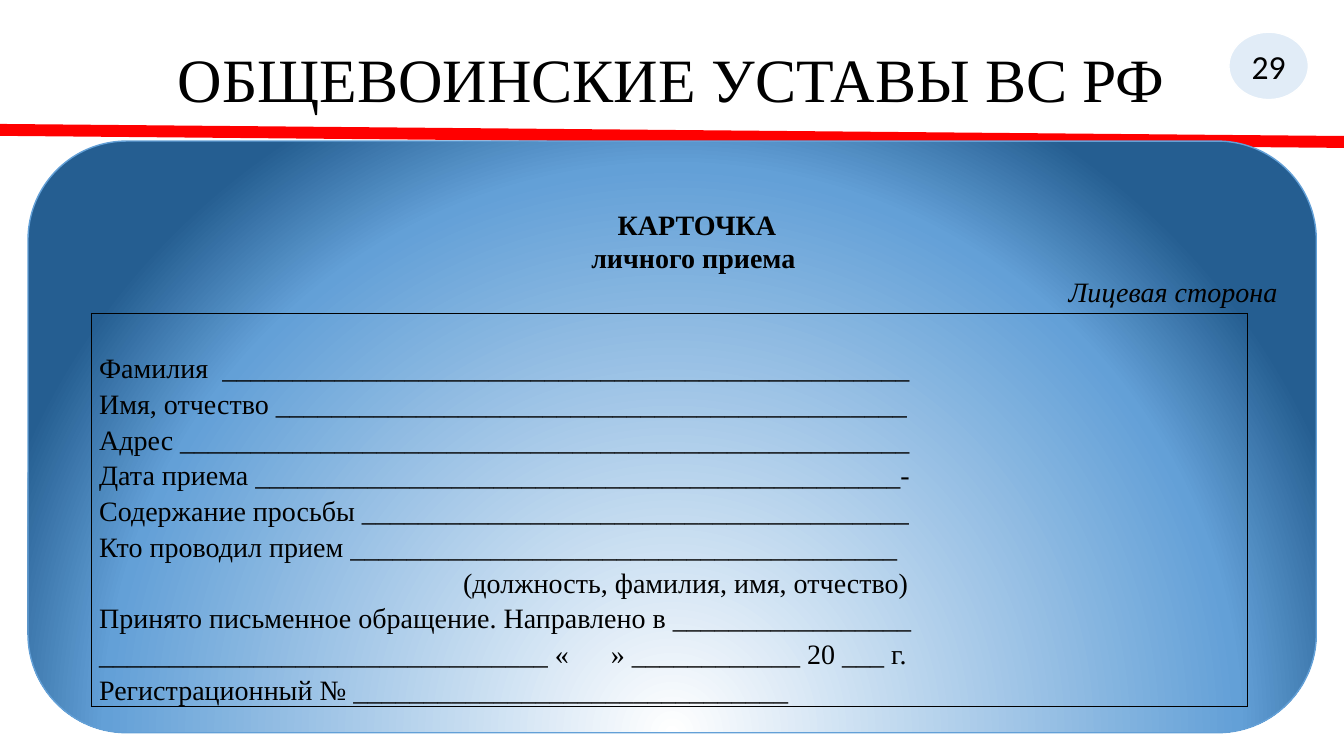
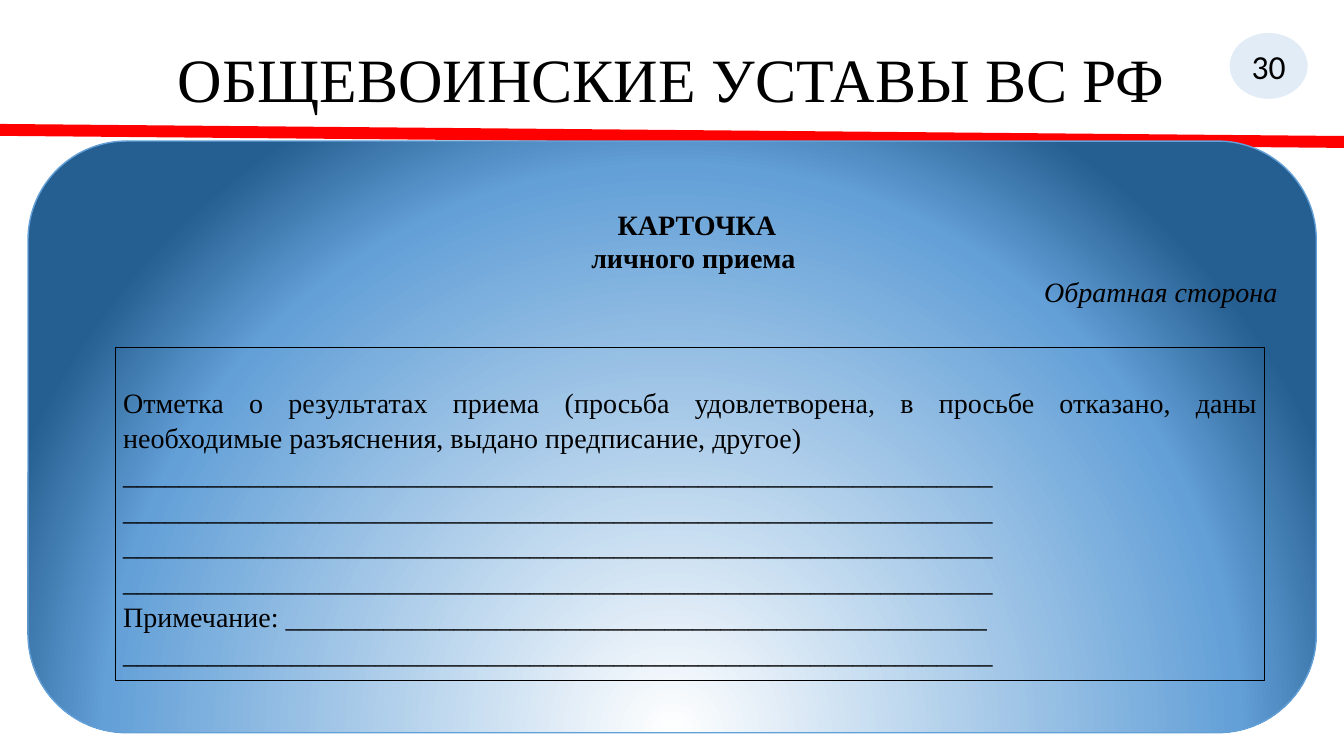
import dataclasses

import pptx
import pptx.dml.color
import pptx.enum.shapes
import pptx.enum.text
import pptx.oxml
import pptx.oxml.ns
import pptx.util

Pt = pptx.util.Pt
RGB = pptx.dml.color.RGBColor.from_string
ALIGN = pptx.enum.text.PP_ALIGN
ANCHOR = pptx.enum.text.MSO_ANCHOR
SHAPE = pptx.enum.shapes.MSO_SHAPE


@dataclasses.dataclass(frozen=True)
class Theme:
    """Colours, fonts and type sizes of the deck."""

    ink: str = "000000"
    paper: str = "FFFFFF"
    rule: str = "FF0000"
    badge: str = "5B9BD5"
    badge_opacity: int = 18
    edge: str = "63A0D7"
    glow: tuple = ((0, "FFFFFF"), (80, "63A0D7"), (100, "255E91"))
    serif: str = "Times New Roman"
    sans: str = "Calibri"
    title_size: int = 44
    badge_size: int = 24
    body_size: int = 20


@dataclasses.dataclass(frozen=True)
class Box:
    """A rectangle in points."""

    left: float
    top: float
    width: float
    height: float

    def lengths(self):
        """Return the four lengths in the order add_shape takes them."""
        return [Pt(value) for value in dataclasses.astuple(self)]

    def inner(self, left, top, width, height):
        """Return a box placed relative to this one."""
        return Box(self.left + left, self.top + top, width, height)


@dataclasses.dataclass(frozen=True)
class Entry:
    """One line of a form."""

    text: str
    indent: float = 0
    tab: float = 0


@dataclasses.dataclass(frozen=True)
class Card:
    """One side of the reception card."""

    number: int
    side: str
    form: tuple
    align: ALIGN
    entries: tuple


THEME = Theme()
PAGE = Box(0, 0, 960, 540)
TITLE = "ОБЩЕВОИНСКИЕ УСТАВЫ ВС РФ"


def blank(count):
    """Return a line to write on."""
    return "_" * count


CARDS = (
    Card(29, "Лицевая сторона", (45.4, 123.1, 825.8, 277), ALIGN.LEFT, (
        Entry("Фамилия  " + blank(49)),
        Entry("Имя, отчество " + blank(45)),
        Entry("Адрес " + blank(52)),
        Entry("Дата приема " + blank(46) + "-"),
        Entry("Содержание просьбы " + blank(39)),
        Entry("Кто проводил прием " + blank(39)),
        Entry("(должность, фамилия, имя, отчество)", indent=260),
        Entry("Принято письменное обращение. Направлено в " + blank(17)),
        Entry(f"{blank(32)} «\t» {blank(12)} 20 {blank(3)} г.", tab=365.5),
        Entry("Регистрационный № " + blank(31)),
    )),
    Card(30, "Обратная сторона", (62.6, 147.6, 820.8, 237.6), ALIGN.JUSTIFY, (
        Entry("Отметка о результатах приема (просьба удовлетворена, в просьбе отказано, "
              "даны необходимые разъяснения, выдано предписание, другое)"),
        *[Entry(blank(62))] * 4,
        Entry("Примечание: " + blank(50)),
        Entry(blank(62)),
    )),
)


def element(markup):
    """Parse a DrawingML fragment."""
    head, mark, rest = markup.partition(">")
    if head.endswith("/"):
        head, mark = head[:-1], "/>"
    return pptx.oxml.parse_xml(f"{head} {pptx.oxml.ns.nsdecls('a')}{mark}{rest}")


def add_span(para, text, size, font=THEME.serif, bold=False, italic=False):
    """Add one formatted run to a paragraph."""
    span = para.add_run()
    span.text = text
    span.font.name, span.font.size = font, Pt(size)
    span.font.bold, span.font.italic = bold, italic
    span.font.color.rgb = RGB(THEME.ink)


def each_para(frame, items):
    """Yield a paragraph of the frame with each item."""
    for index, item in enumerate(items):
        yield (frame.add_paragraph() if index else frame.paragraphs[0]), item


def add_title(page, box):
    """Place and format the title."""
    title = page.shapes.title
    title.left, title.top, title.width, title.height = box.lengths()
    frame = title.text_frame
    frame.auto_size = pptx.enum.text.MSO_AUTO_SIZE.NONE
    frame.vertical_anchor = ANCHOR.TOP
    frame.margin_top = Pt(6.7)
    para = frame.paragraphs[0]
    para.alignment, para.line_spacing = ALIGN.CENTER, 0.9
    add_span(para, TITLE, THEME.title_size)


def add_rule(page, box):
    """Draw the slanted rule across the box."""
    left, top, width, height = box.lengths()
    rule = page.shapes.add_connector(
        pptx.enum.shapes.MSO_CONNECTOR.STRAIGHT, left, top, left + width, top + height)
    rule.line.color.rgb, rule.line.width = RGB(THEME.rule), Pt(8.5)
    rule._element.spPr.append(element("<a:effectLst/>"))


def add_panel(page, kind, box, edge):
    """Add a flat shape with a thin edge."""
    shape = page.shapes.add_shape(kind, *box.lengths())
    shape.shadow.inherit = False
    shape.line.color.rgb, shape.line.width = RGB(edge), Pt(1)
    shape.text_frame.word_wrap = True
    return shape


def add_badge(page, box, number):
    """Add the pale oval with the page number."""
    badge = add_panel(page, SHAPE.OVAL, box, THEME.paper)
    badge.fill.solid()
    badge.fill.fore_color.rgb = RGB(THEME.badge)
    colour = badge._element.spPr.find(pptx.oxml.ns.qn("a:solidFill"))[0]
    colour.append(element(f'<a:alpha val="{THEME.badge_opacity * 1000}"/>'))
    frame = badge.text_frame
    frame.vertical_anchor = ANCHOR.MIDDLE
    frame.margin_left = frame.margin_right = 0
    para = frame.paragraphs[0]
    para.alignment = ALIGN.CENTER
    add_span(para, str(number), THEME.badge_size, THEME.sans)


def add_card(page, box, side):
    """Add the glowing panel with the card heading."""
    panel = add_panel(page, SHAPE.ROUNDED_RECTANGLE, box, THEME.edge)
    stops = "".join(f'<a:gs pos="{place * 1000}"><a:srgbClr val="{colour}"/></a:gs>'
                    for place, colour in THEME.glow)
    outline = panel._element.spPr.find(pptx.oxml.ns.qn("a:prstGeom"))
    outline.addnext(element(
        f'<a:gradFill><a:gsLst>{stops}</a:gsLst><a:path path="circle">'
        '<a:fillToRect l="50000" t="130000" r="50000" b="-30000"/></a:path></a:gradFill>'))
    frame = panel.text_frame
    frame.vertical_anchor = ANCHOR.TOP
    frame.margin_top = Pt(26.6)
    heading = (("КАРТОЧКА", ALIGN.CENTER, True), ("личного приема ", ALIGN.CENTER, True),
               (side, ALIGN.RIGHT, False))
    for para, (text, align, bold) in each_para(frame, heading):
        para.alignment = align
        para._p.get_or_add_pPr().set("indent", str(Pt(35.4)))
        add_span(para, text, THEME.body_size, bold=bold, italic=not bold)


def add_form(page, box, align, entries):
    """Add the framed one-cell table with the lines of the form."""
    table = page.shapes.add_table(1, 1, *box.lengths()).table
    table.first_row = table.horz_banding = False
    cell = table.cell(0, 0)
    cell.fill.background()
    cell.margin_left = cell.margin_right = Pt(5.4)
    cell.margin_top, cell.margin_bottom = Pt(25.5), 0
    for index, side in enumerate("LRTB"):
        cell._tc.get_or_add_tcPr().insert(index, element(
            f'<a:ln{side} w="{Pt(1)}"><a:solidFill><a:srgbClr val="{THEME.ink}"/>'
            f'</a:solidFill></a:ln{side}>'))
    for para, entry in each_para(cell.text_frame, entries):
        para.alignment, para.line_spacing = align, 1.15
        settings = para._p.get_or_add_pPr()
        if entry.indent:
            settings.set("marL", str(Pt(entry.indent)))
        if entry.tab:
            settings.append(element(
                f'<a:tabLst><a:tab pos="{Pt(entry.tab)}" algn="l"/></a:tabLst>'))
        add_span(para, entry.text, THEME.body_size)


def add_card_page(deck, card):
    """Build one page of the deck."""
    page = deck.slides.add_slide(deck.slide_layouts[5])
    panel = PAGE.inner(20, 100.8, 920.2, 422.6)
    add_title(page, PAGE.inner(66, 28.8, 828, 104.4))
    add_rule(page, PAGE.inner(0, 92.8, PAGE.width, 8.6))
    add_badge(page, PAGE.inner(877.8, 23, 56.8, 48.2), card.number)
    add_card(page, panel, card.side)
    add_form(page, panel.inner(*card.form), card.align, card.entries)


def main():
    """Build and save the deck."""
    deck = pptx.Presentation()
    deck.slide_width, deck.slide_height = Pt(PAGE.width), Pt(PAGE.height)
    for card in CARDS:
        add_card_page(deck, card)
    deck.save("out.pptx")


if __name__ == "__main__":
    main()
